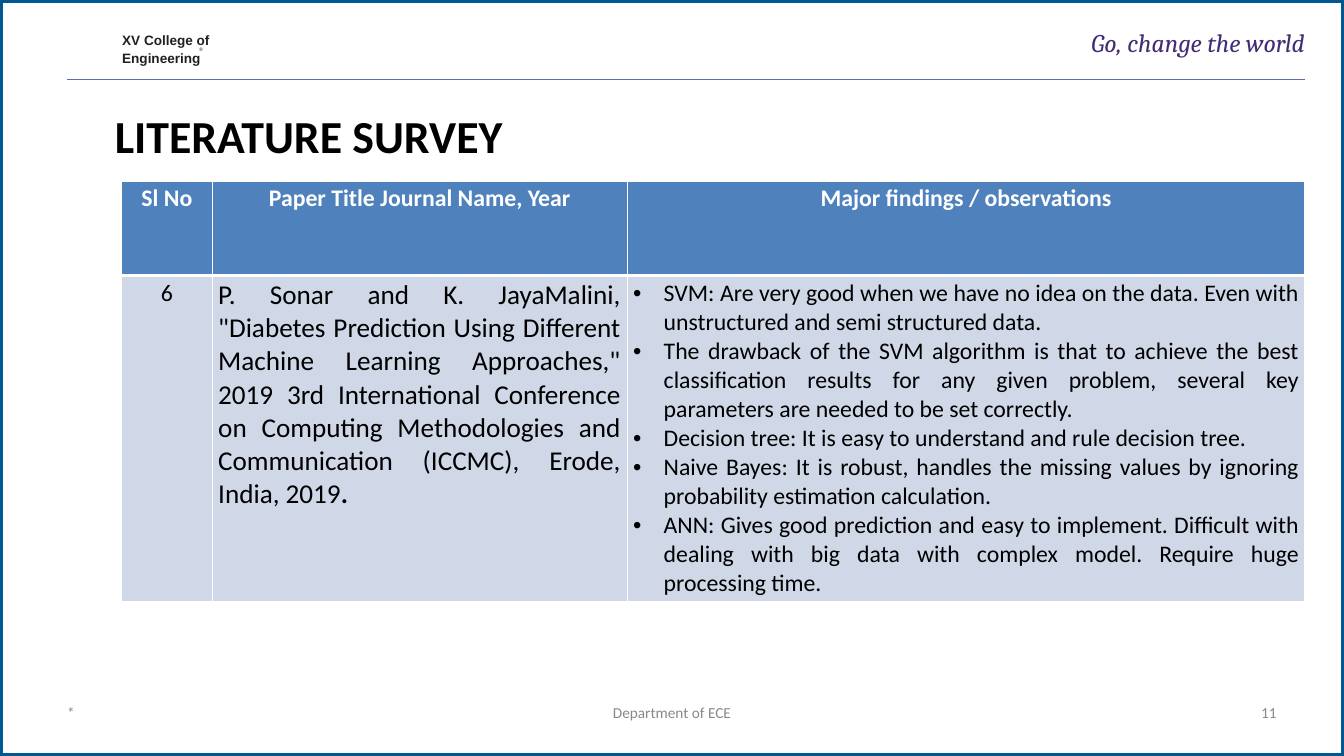
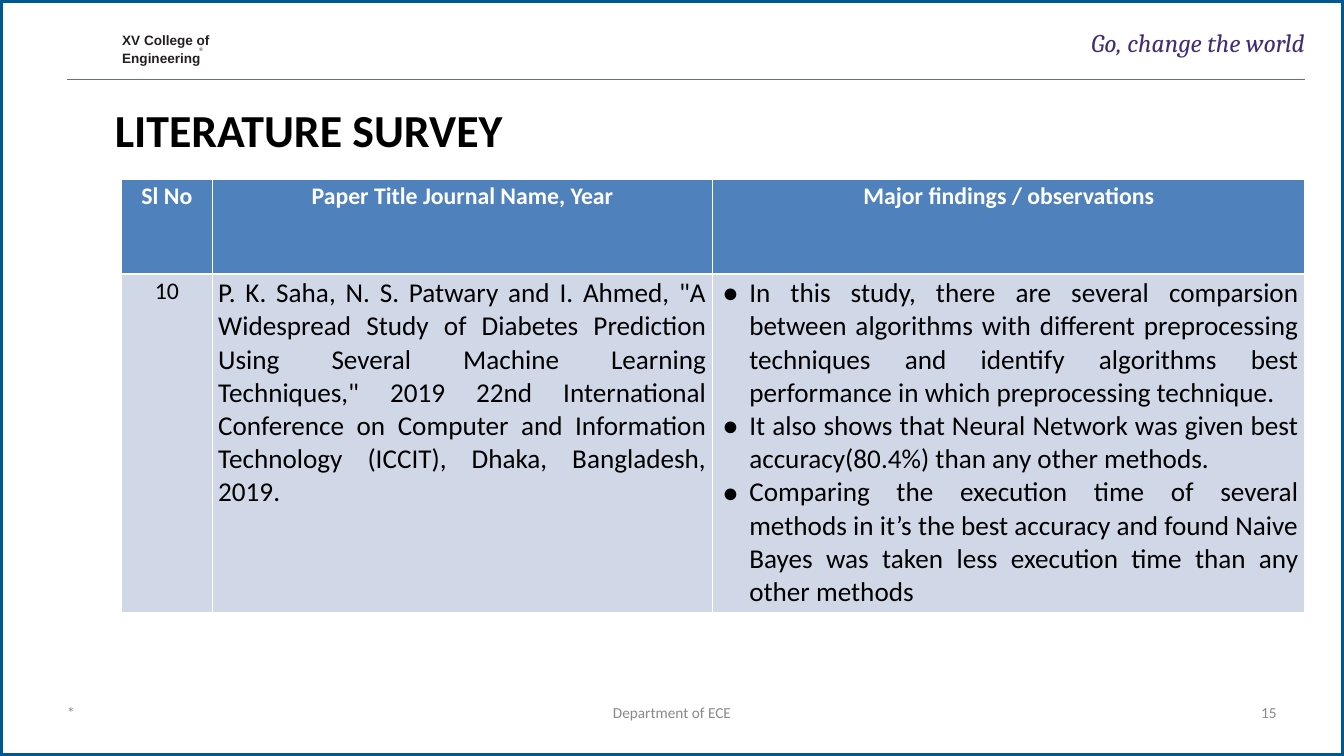
"""Builds two literature survey slides with a shared frame, header, footer and table style."""
from lxml import etree
from pptx import Presentation
from pptx.dml.color import RGBColor
from pptx.enum.shapes import MSO_CONNECTOR, MSO_SHAPE
from pptx.enum.text import MSO_ANCHOR, MSO_AUTO_SIZE, PP_ALIGN
from pptx.oxml.ns import qn
from pptx.util import Inches, Pt

LEFT, CENTER, RIGHT, JUSTIFY = PP_ALIGN.LEFT, PP_ALIGN.CENTER, PP_ALIGN.RIGHT, PP_ALIGN.JUSTIFY
TOP, NO_FIT = MSO_ANCHOR.TOP, MSO_AUTO_SIZE.NONE
RECTANGLE, STRAIGHT = MSO_SHAPE.RECTANGLE, MSO_CONNECTOR.STRAIGHT

HEADING = "LITERATURE SURVEY"
COLLEGE = ["XV College of", "Engineering"]
MOTTO = "Go, change the world"
DEPARTMENT = "Department of ECE"
COLUMN_HEADS = ["Sl No", "Paper Title Journal Name, Year", "Major findings / observations"]

PAGES = [
    {
        "number": "11", "heading_top": 1.75, "table_top": 2.96, "paper_width": 6.79,
        "body_height": 5.24, "serial": "6",
        "paper": [
            ('P. Sonar and K. JayaMalini, "Diabetes Prediction Using Different Machine Learning '
             'Approaches," 2019 3rd International Conference on Computing Methodologies and '
             'Communication (ICCMC), Erode, India, 2019', False),
            (".", True),
        ],
        "findings_style": "table", "bullet": "•", "hanging": 0.5,
        "findings": [
            "SVM: Are very good when we have no idea on the data. Even with unstructured and "
            "semi structured data.",
            "The drawback of the SVM algorithm is that to achieve the best classification results "
            "for any given problem, several key parameters are needed to be set correctly.",
            "Decision tree: It is easy to understand and rule decision tree.",
            "Naive Bayes: It is robust, handles the missing values by ignoring probability "
            "estimation calculation.",
            "ANN: Gives good prediction and easy to implement. Difficult with dealing with big "
            "data with complex model. Require huge processing time.",
        ],
    },
    {
        "number": "15", "heading_top": 1.66, "table_top": 2.93, "paper_width": 8.19,
        "body_height": 5.44, "serial": "10",
        "paper": [
            ('P. K. Saha, N. S. Patwary and I. Ahmed, "A Widespread Study of Diabetes Prediction '
             'Using Several Machine Learning Techniques," 2019 22nd International Conference on '
             'Computer and Information Technology (ICCIT), Dhaka, Bangladesh, 2019.', False),
        ],
        "findings_style": "paper", "bullet": "●", "hanging": 0.44,
        "findings": [
            "In this study, there are several comparsion between algorithms with different "
            "preprocessing techniques and identify algorithms best performance in which "
            "preprocessing technique.",
            "It also shows that Neural Network was given best accuracy(80.4%) than any other "
            "methods.",
            "Comparing the execution time of several methods in it’s the best accuracy and found "
            "Naive Bayes was taken less execution time than any other methods",
        ],
    },
]

THEME = {
    "white": "FFFFFF", "frame": "005893", "rule": "5E6DB3", "head": "4F81BD", "body": "D0D8E8",
    "black": "000000",
    "styles": {
        "heading": {"name": "Calibri", "size": 54, "color": "000000", "bold": True},
        "college": {"name": "Arial", "size": 16, "color": "231F20", "bold": True},
        "mark": {"name": "Arial", "size": 6, "color": "231F20"},
        "motto": {"name": "Cambria", "size": 30, "color": "422C75", "italic": True},
        "footer": {"name": "Calibri", "size": 18, "color": "898989"},
        "column": {"name": "Calibri", "size": 28, "color": "FFFFFF", "bold": True},
        "table": {"name": "Calibri", "size": 28, "color": "000000", "bold": False},
        "paper": {"name": "Calibri", "size": 32, "color": "000000", "bold": False},
    },
}

WIDTH, HEIGHT = 21.99, 12.37
MARGIN = 1.1
TABLE_LEFT, CONTENT_RIGHT = 1.99, 21.35
SERIAL_WIDTH, HEAD_HEIGHT = 1.48, 1.55
FOOTER_TOP, FOOTER_HEIGHT = 11.5, 0.62
FOOTER_SIDE, FOOTER_MIDDLE = 5.06, 7.03
FINDING_INDENT = 0.5


def color(value):
    """Turns a hex string into a colour."""
    return RGBColor.from_string(value)


def style_font(font, style):
    """Applies a named type style to a font."""
    for key, value in THEME["styles"][style].items():
        if key == "color":
            font.color.rgb = color(value)
        else:
            setattr(font, key, Pt(value) if key == "size" else value)


def write(frame, paragraphs, style, align=LEFT, **formats):
    """Writes paragraphs, each a string or a list of (text, bold) runs."""
    for index, content in enumerate(paragraphs):
        para = frame.paragraphs[0] if index == 0 else frame.add_paragraph()
        for key, value in {"alignment": align, **formats}.items():
            setattr(para, key, value)
        runs = [(content, None)] if isinstance(content, str) else content
        for text, bold in runs:
            span = para.add_run()
            span.text = text
            style_font(span.font, style)
            if bold is not None:
                span.font.bold = bold


def set_frame(frame):
    """Removes insets and fitting from a text frame."""
    formats = {"word_wrap": True, "auto_size": NO_FIT, "vertical_anchor": TOP, "margin_left": 0,
               "margin_top": 0, "margin_right": 0, "margin_bottom": 0}
    for key, value in formats.items():
        setattr(frame, key, value)


def add_text(page, place, paragraphs, style, align=LEFT, **formats):
    """Adds a text box at left, top, width, height."""
    box = page.shapes.add_textbox(*map(Inches, place))
    set_frame(box.text_frame)
    write(box.text_frame, paragraphs, style, align, **formats)


def add_frame(page):
    """Draws the slide border, behind the title, and the header rule."""
    border = page.shapes.add_shape(RECTANGLE, 0, 0, Inches(WIDTH), Inches(HEIGHT))
    border.shadow.inherit = False
    border.fill.solid()
    border.fill.fore_color.rgb = color(THEME["white"])
    border.line.color.rgb = color(THEME["frame"])
    border.line.width = Pt(6)
    page.shapes.title.element.addprevious(border.element)
    rule = page.shapes.add_connector(
        STRAIGHT, *map(Inches, (MARGIN, 1.3, CONTENT_RIGHT, 1.3)))
    rule.line.color.rgb = color(THEME["rule"])
    rule.line.width = Pt(1.25)
    etree.SubElement(rule.element.spPr, qn("a:effectLst"))


def add_header_and_footer(page, number):
    """Adds the college name, the motto and the three footer texts."""
    add_text(page, (2, 0.5, 1.5, 0.52), COLLEGE, "college", line_spacing=1.06, space_before=Pt(1))
    add_text(page, (3.26, 0.76, 0.12, 0.1), ["®"], "mark")
    add_text(page, (CONTENT_RIGHT - 4.02, 0.45, 4.02, 0.51), [MOTTO], "motto", RIGHT)
    footers = [
        (MARGIN, FOOTER_SIDE, "*", LEFT),
        ((WIDTH - FOOTER_MIDDLE) / 2, FOOTER_MIDDLE, DEPARTMENT, CENTER),
        (WIDTH - MARGIN - FOOTER_SIDE, FOOTER_SIDE, number, RIGHT),
    ]
    for left, width, text, align in footers:
        add_text(page, (left, FOOTER_TOP, width, FOOTER_HEIGHT), [text], "footer", align)


def set_title(page, top):
    """Moves and formats the title placeholder."""
    title = page.shapes.title
    place = {"left": 1.88, "top": top + 0.01, "width": 11.2, "height": 0.92}
    for key, value in place.items():
        setattr(title, key, Inches(value))
    set_frame(title.text_frame)
    write(title.text_frame, [HEADING], "heading")


def set_cell(cell, fill, borders):
    """Fills a cell and draws its borders, widths in points by side."""
    cell.fill.solid()
    cell.fill.fore_color.rgb = color(fill)
    properties = cell._tc.get_or_add_tcPr()
    for index, (side, width) in enumerate(borders.items()):
        line = etree.Element(qn(f"a:ln{side}"), w=str(Pt(width)))
        solid = etree.SubElement(line, qn("a:solidFill"))
        etree.SubElement(solid, qn("a:srgbClr"), val=THEME["white"])
        properties.insert(index, line)


def add_bullets(frame, symbol, hanging):
    """Gives every paragraph a hanging bullet."""
    for para in frame.paragraphs:
        properties = para._p.get_or_add_pPr()
        properties.set("marL", str(Inches(FINDING_INDENT)))
        properties.set("indent", str(-Inches(hanging)))
        tint = etree.SubElement(properties, qn("a:buClr"))
        etree.SubElement(tint, qn("a:srgbClr"), val=THEME["black"])
        etree.SubElement(properties, qn("a:buFont"), typeface="Arial")
        etree.SubElement(properties, qn("a:buChar"), char=symbol)


def add_survey_table(page, content):
    """Adds the table with its head row and one paper."""
    width = CONTENT_RIGHT - TABLE_LEFT
    widths = [SERIAL_WIDTH, content["paper_width"], width - SERIAL_WIDTH - content["paper_width"]]
    heights = [HEAD_HEIGHT, content["body_height"]]
    place = (TABLE_LEFT, content["table_top"], width, sum(heights))
    table = page.shapes.add_table(len(heights), len(widths), *map(Inches, place)).table
    for column, size in zip(table.columns, widths):
        column.width = Inches(size)
    for row, size in zip(table.rows, heights):
        row.height = Inches(size)
    rows = [
        [([head], "column", CENTER) for head in COLUMN_HEADS],
        [([content["serial"]], "table", CENTER),
         ([content["paper"]], "paper", JUSTIFY),
         (content["findings"], content["findings_style"], JUSTIFY)],
    ]
    looks = [
        (THEME["head"], {"L": 1, "R": 1, "T": 1, "B": 3}),
        (THEME["body"], {"L": 1, "R": 1, "T": 3, "B": 1}),
    ]
    for row, entries, look in zip(table.rows, rows, looks):
        for cell, (paragraphs, style, align) in zip(row.cells, entries):
            set_cell(cell, *look)
            write(cell.text_frame, paragraphs, style, align)
    add_bullets(table.cell(1, 2).text_frame, content["bullet"], content["hanging"])


def main():
    """Builds and saves the deck."""
    deck = Presentation()
    deck.slide_width, deck.slide_height = Inches(WIDTH), Inches(HEIGHT)
    for content in PAGES:
        page = deck.slides.add_slide(deck.slide_layouts[5])
        add_frame(page)
        add_header_and_footer(page, content["number"])
        set_title(page, content["heading_top"])
        add_survey_table(page, content)
    deck.save("out.pptx")


if __name__ == "__main__":
    main()
